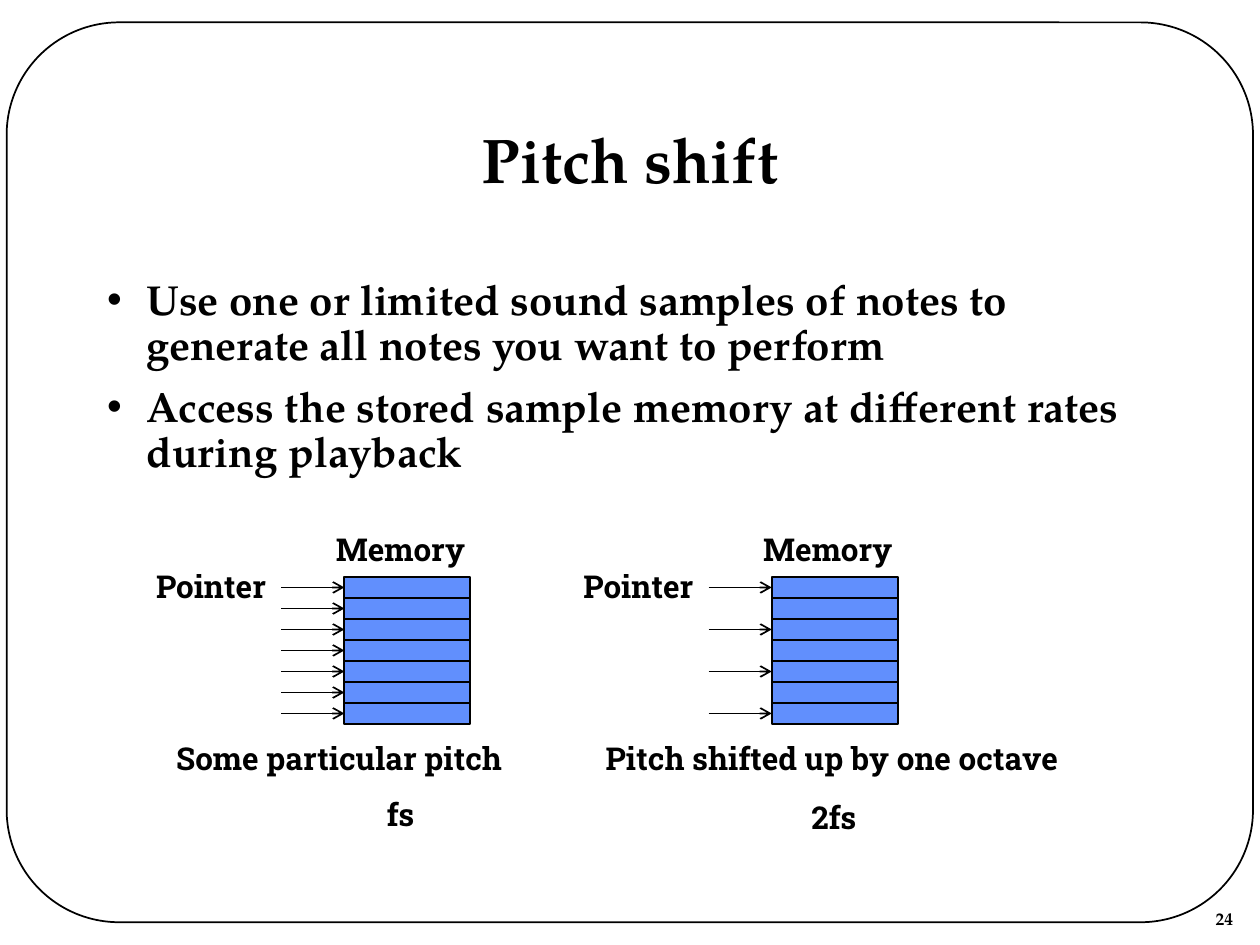
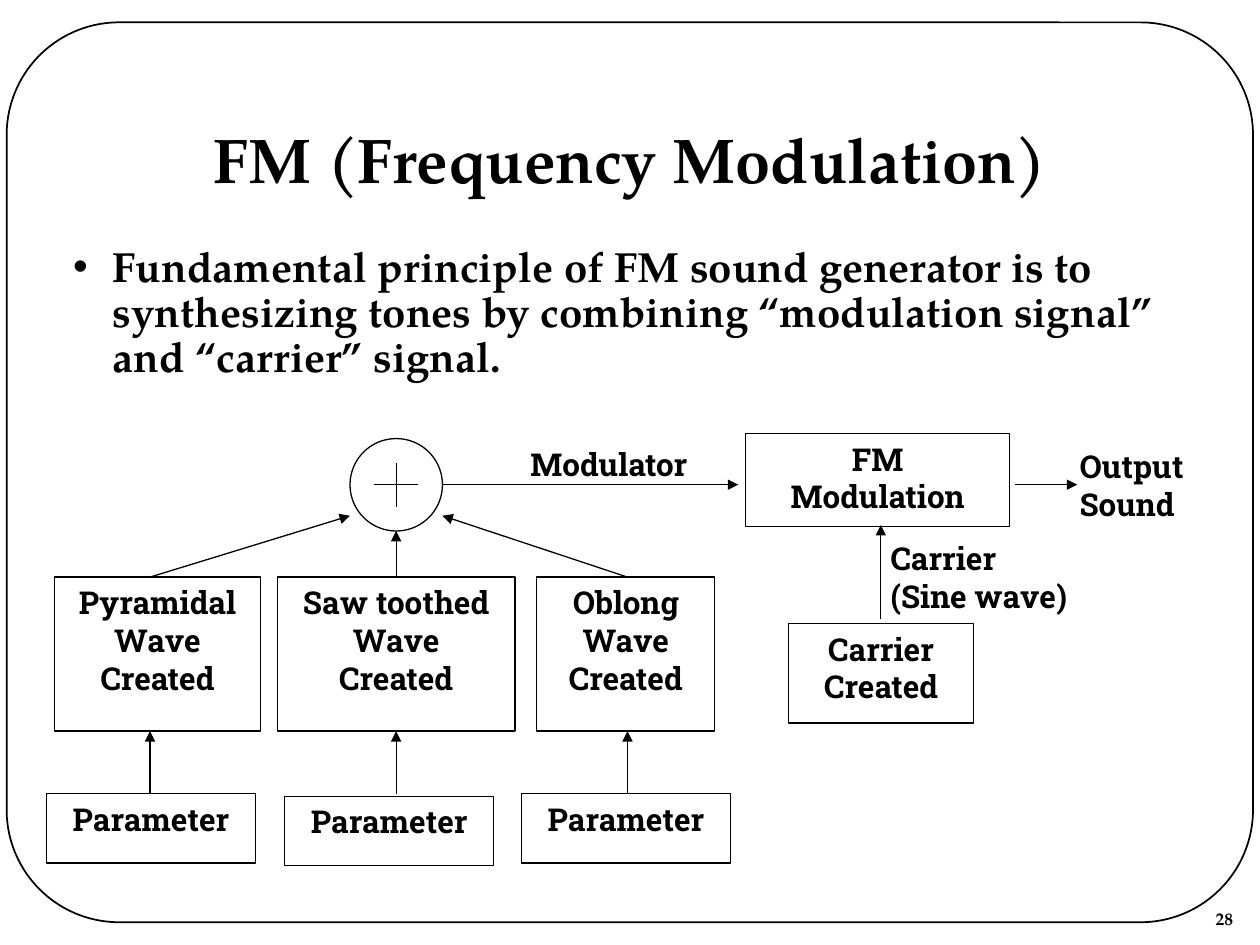
"""Build two slides on sound synthesis: pitch shift and frequency modulation."""
from lxml.etree import SubElement
from pptx import Presentation
from pptx.dml.color import RGBColor
from pptx.enum.shapes import MSO_CONNECTOR, MSO_SHAPE
from pptx.enum.text import MSO_ANCHOR, MSO_AUTO_SIZE, PP_ALIGN
from pptx.oxml.ns import qn
from pptx.util import Pt

COLORS = {"ink": "000000", "paper": "FFFFFF", "cell": "618FFD"}
SERIF, SLAB = "TeX Gyre Pagella", "Roboto Slab"

PITCH = {
    "title": "Pitch shift", "number": "24", "body": (54, 156, 612, 174),
    "bullets": [
        "Use one or limited sound samples of notes to generate all notes you want to perform",
        "Access the stored sample memory at different rates during playback",
    ],
}
MEMORIES = [
    {"step": 1, "caption": "Some particular pitch", "caption_at": (93.6, 419, 219, 28.8),
     "rate": "fs", "rate_at": (213.8, 450.7, 30.2, 28.8)},
    {"step": 2, "caption": "Pitch shifted up by one octave", "caption_at": (339, 419, 300, 28.8),
     "rate": "2fs", "rate_at": (456.5, 452.2, 42.5, 28.8)},
]
CELLS, CELL_W, CELL_H, POINTER_W = 7, 72, 12, 36
MEMORY_X, MEMORY_Y, MEMORY_GAP = 196.8, 329.7, 244.2

FM = {
    "title": "FM (Frequency Modulation)", "number": "28", "body": (34.6, 136.8, 643.7, 324),
    "bullets": [
        "Fundamental principle of FM sound generator is to synthesizing tones by combining "
        "“modulation signal” and “carrier” signal.",
    ],
}
WAVES = [
    {"name": "Pyramidal Wave", "x": 31, "w": 118, "axis": 85.7, "param": (26.6, 453.6)},
    {"name": "Saw toothed Wave", "x": 158.4, "w": 136, "axis": 226.4, "param": (162.7, 455)},
    {"name": "Oblong Wave", "x": 306.7, "w": 101.8, "axis": 358.6, "param": (298, 453.6)},
]
WAVE_Y, WAVE_H, PARAM_W, PARAM_H = 329.8, 88, 119.5, 39.6
MIXER_X, MIXER_Y, MIXER_R, PLUS_R = 226.4, 277, 26.4, 12.6
MIXER_ENTRIES = [(200, 294.7), (226.4, 303.4), (252.8, 294.7)]
FM_BOXES = [
    (["FM", "Modulation"], (426.2, 247.7, 150.8, 53.4)),
    (["Carrier", "Created"], (450.5, 356.2, 106, 56.9)),
]
FM_ARROWS = [
    ((503.3, 353.5), (503.3, 300)),
    ((252.8, 277), (421.9, 277)),
    ((580.3, 277), (615.6, 277)),
]
FM_LABELS = [
    (["Output Sound"], (609.8, 252, 97.2, 52.6)),
    (["Modulator"], (296, 250.6, 121.7, 37.4)),
    (["Carrier", "(Sine wave)"], (501.8, 304.6, 140.4, 44)),
]


def rgb(name):
    return RGBColor.from_string(COLORS[name])


def place(sp, box):
    sp.left, sp.top, sp.width, sp.height = (Pt(v) for v in box)


def write(tf, lines, size, font, align=PP_ALIGN.LEFT):
    for i, line in enumerate(lines):
        p = tf.paragraphs[0] if i == 0 else tf.add_paragraph()
        p.alignment = align
        r = p.add_run()
        r.text = line
        r.font.name, r.font.size, r.font.bold = font, Pt(size), True
        r.font.color.rgb = rgb("ink")


def add_label(s, lines, box, wrap=False, size=18, font=SLAB):
    tf = s.shapes.add_textbox(*(Pt(v) for v in box)).text_frame
    tf.word_wrap = wrap
    write(tf, lines, size, font)


def add_outline(shapes, kind, box, fill=None, weight=0.75):
    sp = shapes.add_shape(kind, *(Pt(v) for v in box))
    sp.shadow.inherit = False
    sp.line.color.rgb, sp.line.width = rgb("ink"), Pt(weight)
    if fill:
        sp.fill.solid()
        sp.fill.fore_color.rgb = rgb(fill)
    else:
        sp.fill.background()
    return sp


def add_box(s, lines, box):
    tf = add_outline(s.shapes, MSO_SHAPE.RECTANGLE, box).text_frame
    tf.word_wrap, tf.vertical_anchor = True, MSO_ANCHOR.TOP
    write(tf, lines, 18, SLAB, PP_ALIGN.CENTER)


def add_line(shapes, start, end, head=None, weight=0.75):
    line = shapes.add_connector(MSO_CONNECTOR.STRAIGHT, *(Pt(v) for v in start + end))
    line.line.color.rgb, line.line.width = rgb("ink"), Pt(weight)
    if head:
        SubElement(line.line._get_or_add_ln(), qn("a:tailEnd"), type=head)
    SubElement(line._element.spPr, qn("a:effectLst"))


def add_bullet(p):
    pPr = p._p.get_or_add_pPr()
    pPr.set("marL", str(Pt(22.5)))
    pPr.set("indent", str(-Pt(22.5)))
    color = SubElement(pPr, qn("a:buClr"))
    SubElement(color, qn("a:srgbClr"), val=COLORS["ink"])
    SubElement(pPr, qn("a:buChar"), char="•")


def start_slide(prs, content):
    s = prs.slides.add_slide(prs.slide_layouts[1])
    s.background.fill.solid()
    s.background.fill.fore_color.rgb = rgb("paper")
    frame = add_outline(s.shapes, MSO_SHAPE.ROUNDED_RECTANGLE, (3.8, 12.8, 712.2, 514.2), weight=1)
    frame.adjustments[0] = 0.125
    add_label(s, [content["number"]], (687.6, 515.5, 31, 21.6), True, 10, SERIF)

    title, body = s.shapes.title, s.placeholders[1]
    place(title, (78, 48.2, 564, 90))
    place(body, content["body"])
    for sp, anchor in ((title, MSO_ANCHOR.MIDDLE), (body, MSO_ANCHOR.TOP)):
        sp.text_frame.auto_size = MSO_AUTO_SIZE.NONE
        sp.text_frame.vertical_anchor = anchor
    write(title.text_frame, [content["title"]], 36, SERIF, PP_ALIGN.CENTER)
    title.text_frame.paragraphs[0].line_spacing = 0.9
    write(body.text_frame, content["bullets"], 24, SERIF)
    for i, p in enumerate(body.text_frame.paragraphs):
        add_bullet(p)
        p.line_spacing = 0.9
        p.space_before = Pt(9 if i else 0)
    return s


def build_pitch(prs):
    s = start_slide(prs, PITCH)
    for i, memory in enumerate(MEMORIES):
        x = MEMORY_X + i * MEMORY_GAP
        add_label(s, ["Pointer"], (x - 114.7, 320.6, 82.8, 28.8))
        add_label(s, ["Memory"], (x - 12, 299.3, 90, 28.8))
        for row in range(CELLS):
            y = MEMORY_Y + row * CELL_H
            add_outline(s.shapes, MSO_SHAPE.RECTANGLE, (x, y, CELL_W, CELL_H), "cell", 1)
            if row % memory["step"] == 0:
                mid = y + CELL_H / 2
                add_line(s.shapes, (x - POINTER_W, mid), (x, mid), "arrow", 1)
        add_label(s, [memory["caption"]], memory["caption_at"])
        add_label(s, [memory["rate"]], memory["rate_at"])


def build_fm(prs):
    s = start_slide(prs, FM)
    mixer = s.shapes.add_group_shape().shapes
    add_outline(mixer, MSO_SHAPE.OVAL,
                (MIXER_X - MIXER_R, MIXER_Y - MIXER_R, 2 * MIXER_R, 2 * MIXER_R))
    for dx, dy in ((PLUS_R, 0), (0, PLUS_R)):
        add_line(mixer, (MIXER_X - dx, MIXER_Y - dy), (MIXER_X + dx, MIXER_Y + dy))

    for wave, entry in zip(WAVES, MIXER_ENTRIES):
        axis = wave["axis"]
        add_box(s, [wave["name"], "Created"], (wave["x"], WAVE_Y, wave["w"], WAVE_H))
        add_box(s, ["Parameter"], wave["param"] + (PARAM_W, PARAM_H))
        add_line(s.shapes, (axis, 453.6), (axis, WAVE_Y + WAVE_H), "triangle")
        add_line(s.shapes, (axis, WAVE_Y), entry, "triangle")
    for lines, box in FM_BOXES:
        add_box(s, lines, box)
    for start, end in FM_ARROWS:
        add_line(s.shapes, start, end, "triangle")
    for lines, box in FM_LABELS:
        add_label(s, lines, box, True)


def main():
    prs = Presentation()
    prs.slide_width, prs.slide_height = Pt(720), Pt(540)
    build_pitch(prs)
    build_fm(prs)
    prs.save("out.pptx")


if __name__ == "__main__":
    main()
